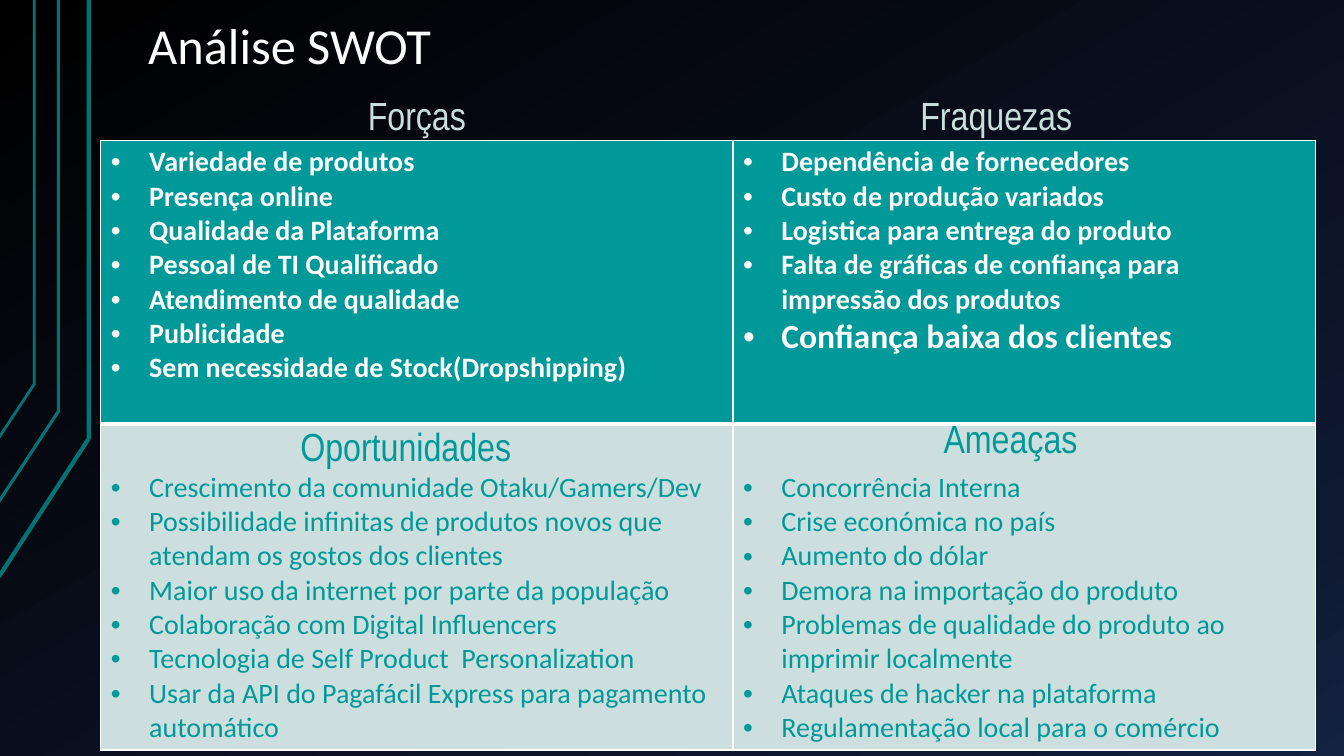
from lxml.etree import SubElement
from copy import deepcopy
from pptx import Presentation
from pptx.dml.color import RGBColor
from pptx.enum.text import MSO_ANCHOR, MSO_AUTO_SIZE, PP_ALIGN
from pptx.oxml.ns import qn
from pptx.util import Inches, Pt

COLORS = {
    "white": "FFFFFF",
    "teal": "009999",
    "pale": "CCDEDE",
    "heading": "CBDEDE",
    "ribbon": "007373",
}
GRADIENT = [(0, "000000"), (0.85, "0F1931"), (1, "142242")]

STRENGTHS = [
    "Variedade de produtos",
    "Presença online",
    "Qualidade da Plataforma",
    "Pessoal de TI Qualificado",
    "Atendimento de qualidade",
    "Publicidade",
    "Sem necessidade de Stock(Dropshipping)",
]
WEAKNESSES = [
    "Dependência de fornecedores",
    "Custo de produção variados",
    "Logistica para entrega do produto",
    "Falta de gráficas de confiança para impressão dos produtos",
    "Confiança baixa dos clientes",
]
OPPORTUNITIES = [
    "Crescimento da comunidade Otaku/Gamers/Dev",
    "Possibilidade infinitas de produtos novos que atendam os gostos dos clientes",
    "Maior uso da internet por parte da população",
    "Colaboração com Digital Influencers",
    "Tecnologia de Self Product  Personalization",
    "Usar da API do Pagafácil Express para pagamento automático",
]
THREATS = [
    "Concorrência Interna",
    "Crise económica no país",
    "Aumento do dólar",
    "Demora na importação do produto",
    "Problemas de qualidade do produto ao imprimir localmente",
    "Ataques de hacker na plataforma",
    "Regulamentação local para o comércio",
]


def set_font(paragraph, name, size, color, bold=False):
    paragraph.font.name = name
    paragraph.font.size = Pt(size)
    paragraph.font.bold = bold
    paragraph.font.color.rgb = RGBColor.from_string(COLORS[color])


def add_borders(cell, widths):
    properties = cell._tc.get_or_add_tcPr()
    for side, width in widths.items():
        line = SubElement(properties, qn(f"a:ln{side}"), w=str(Pt(width)))
        fill = SubElement(line, qn("a:solidFill"))
        SubElement(fill, qn("a:srgbClr"), val=COLORS["white"])


presentation = Presentation()
presentation.slide_width = Inches(13.33)
presentation.slide_height = Inches(7.5)
slide = presentation.slides.add_slide(presentation.slide_layouts[5])

background = slide.background.fill
background.gradient()
background.gradient_angle = 300
stop_list = slide.element.find(".//" + qn("a:gsLst"))
stop_list.append(deepcopy(stop_list[-1]))
for stop, (position, color) in zip(background.gradient_stops, GRADIENT):
    stop.position = position
    stop.color.rgb = RGBColor.from_string(color)

ribbons = [
    ([(-0.01, 5.72), (0.88, 4.35), (0.88, 0)], 3),
    ([(-0.02, 4.99), (0.58, 4.08), (0.58, 0)], 2.25),
    ([(-0.01, 4.34), (0.34, 3.81), (0.34, 0)], 2),
]
for points, width in ribbons:
    start, *rest = [(Inches(x), Inches(y)) for x, y in points]
    builder = slide.shapes.build_freeform(*start)
    builder.add_line_segments(rest, close=False)
    ribbon = builder.convert_to_shape()
    ribbon.shadow.inherit = False
    ribbon.fill.background()
    ribbon.line.color.rgb = RGBColor.from_string(COLORS["ribbon"])
    ribbon.line.width = Pt(width)

title = slide.shapes.title
title.left, title.top = Inches(1.34), Inches(0.11)
title.width, title.height = Inches(11.33), Inches(0.71)
title_frame = title.text_frame
title_frame.text = "Análise SWOT"
title_frame.auto_size = MSO_AUTO_SIZE.NONE
title_frame.vertical_anchor = MSO_ANCHOR.BOTTOM
title_frame.margin_left = title_frame.margin_right = Inches(0.13)
title_frame.margin_top = title_frame.margin_bottom = Inches(0.07)
title_paragraph = title_frame.paragraphs[0]
title_paragraph.alignment = PP_ALIGN.LEFT
title_paragraph.line_spacing = 0.9
set_font(title_paragraph, "Calibri", 36, "white")

table = slide.shapes.add_table(
    2, 2, Inches(1), Inches(1.39), Inches(12.05), Inches(6.04)
).table
for column, width in zip(table.columns, (6.27, 5.78)):
    column.width = Inches(width)
for row, height in zip(table.rows, (2.82, 3.22)):
    row.height = Inches(height)

row_styles = [
    ("teal", "white", True, 0.05, {"L": 1, "R": 1, "T": 1, "B": 3}),
    ("pale", "teal", False, 0.46, {"L": 1, "R": 1, "T": 3, "B": 1}),
]
quadrants = [(STRENGTHS, WEAKNESSES), (OPPORTUNITIES, THREATS)]
for row, lists, style in zip(table.rows, quadrants, row_styles):
    fill_color, text_color, bold, margin_top, borders = style
    for cell, items in zip(row.cells, lists):
        add_borders(cell, borders)
        cell.fill.solid()
        cell.fill.fore_color.rgb = RGBColor.from_string(COLORS[fill_color])
        cell.margin_top = Inches(margin_top)
        cell.text = "\n".join(items)
        for paragraph in cell.text_frame.paragraphs:
            set_font(paragraph, "Calibri", 20, text_color, bold)
            properties = paragraph._p.get_or_add_pPr()
            properties.set("marL", str(Inches(0.38)))
            properties.set("indent", str(Inches(-0.38)))
            bullet_font = SubElement(properties, qn("a:buFont"), typeface="Arial")
            bullet = SubElement(properties, qn("a:buChar"), char="•")
            properties.insert(0, bullet)
            properties.insert(0, bullet_font)
table.cell(0, 1).text_frame.paragraphs[-1].font.size = Pt(24)

headings = [
    ("Oportunidades", 2.88, 4.14, 2.68, "teal"),
    ("Ameaças", 9.26, 4.06, 1.81, "teal"),
    ("Forças", 3.55, 0.86, 1.34, "heading"),
    ("Fraquezas", 9.03, 0.86, 2.05, "heading"),
]
for text, left, top, width, color in headings:
    box = slide.shapes.add_textbox(
        Inches(left), Inches(top), Inches(width), Inches(0.57)
    )
    box.text_frame.word_wrap = True
    box.text_frame.auto_size = MSO_AUTO_SIZE.SHAPE_TO_FIT_TEXT
    box.text_frame.text = text
    set_font(box.text_frame.paragraphs[0], "Arial Narrow", 28, color)

presentation.save("out.pptx")
